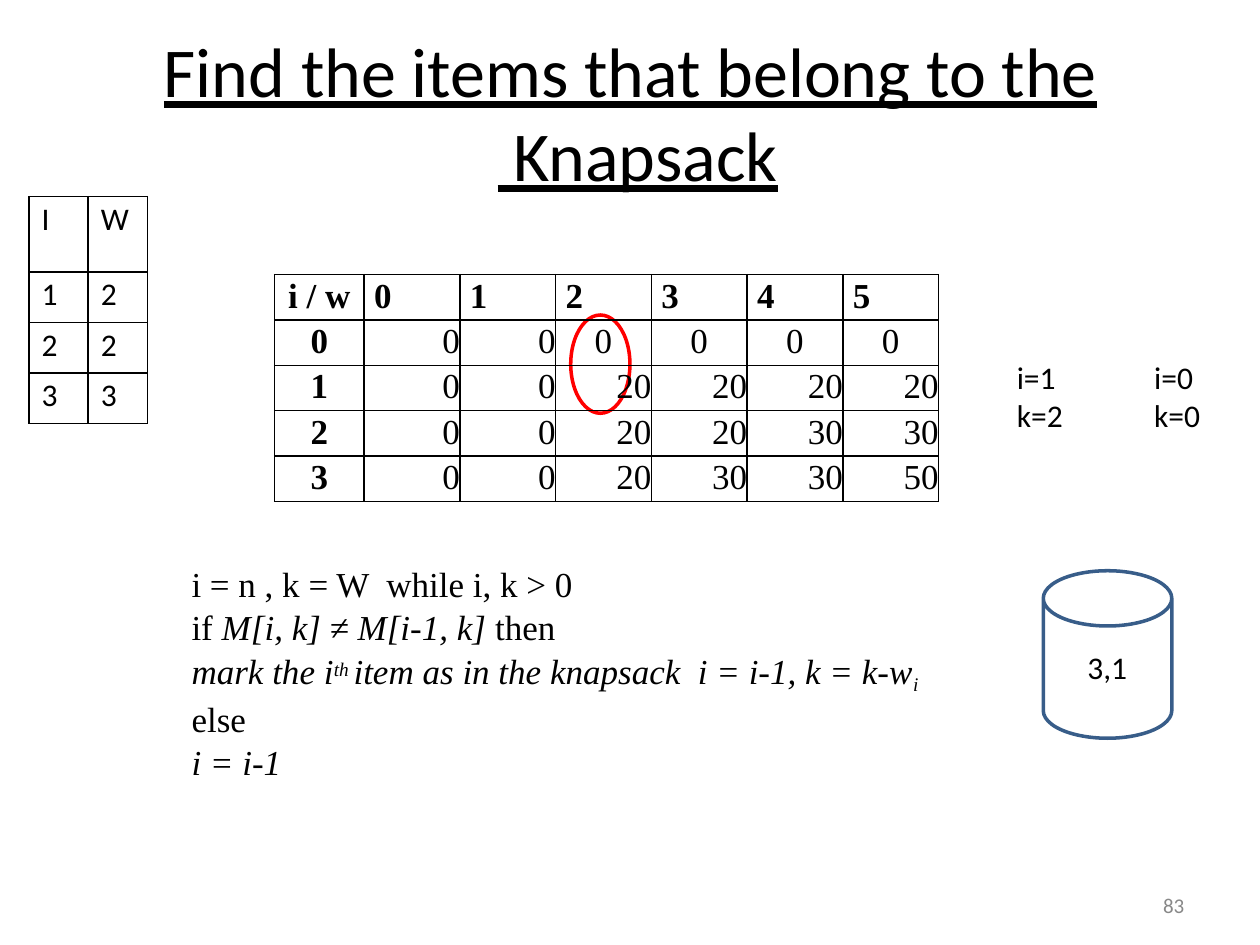
from dataclasses import dataclass
from lxml import etree
from pptx import Presentation
from pptx.dml.color import RGBColor
from pptx.enum.shapes import MSO_SHAPE
from pptx.enum.text import MSO_ANCHOR, MSO_AUTO_SIZE, PP_ALIGN
from pptx.oxml.ns import qn
from pptx.util import Inches, Pt

LEFT, MID, RIGHT = PP_ALIGN.LEFT, PP_ALIGN.CENTER, PP_ALIGN.RIGHT
TOP, FIXED = MSO_ANCHOR.TOP, MSO_AUTO_SIZE.NONE
OVAL, CAN = MSO_SHAPE.OVAL, MSO_SHAPE.CAN


@dataclass(frozen=True)
class Theme:
    ink: str = "000000"
    mark: str = "FF0000"
    sack: str = "385D89"
    mute: str = "888888"
    sans: str = "Calibri"
    serif: str = "Times New Roman"
    head: int = 40
    code: int = 20
    base: int = 19
    body: int = 18
    foot: int = 12


T = Theme()
WIDE, HIGH = 10, 7.5

TITLE = "Find the items that belong to the  Knapsack"
ITEMS = [["I", "W"], ["1", "2"], ["2", "2"], ["3", "3"]]
GRID = [
    ["i / w", "0", "1", "2", "3", "4", "5"],
    ["0", "0", "0", "0", "0", "0", "0"],
    ["1", "0", "0", "20", "20", "20", "20"],
    ["2", "0", "0", "20", "20", "30", "30"],
    ["3", "0", "0", "20", "30", "30", "50"],
]
CODE = [
    [("i = n , k = W  while i, k > 0", "")],
    [("if ", ""), ("M[i, k] ≠ M[i-1, k] ", "i"), ("then", "")],
    [("mark the i", "i"), ("th ", "sup"),
     ("item as in the knapsack  i = i-1, k = k-w", "i"), ("i", "sub")],
    [("else", "")],
    [("i = i-1", "i")],
]
SHIFT = {"sup": "26000", "sub": "-21000"}
NOTES = [
    ((8.06, 2.83, 0.39, 0.63), ["i=1", "k=2"]),
    ((9.15, 2.83, 0.39, 0.63), ["i=0", "k=0"]),
    ((8.62, 5.13, 0.34, 0.33), ["3,1"]),
]


def place(box):
    return [Inches(n) for n in box]


def style(par, face, size, tone=T.ink, bold=False, line=False):
    font = par.font
    font.name, font.size, font.bold = face, Pt(size), bold
    font.underline = line
    font.color.rgb = RGBColor.from_string(tone)


def indent(par, left, first=0):
    props = par._p.get_or_add_pPr()
    props.set("marL", str(Inches(left)))
    props.set("indent", str(Inches(first)))


def fit(frame, top=0.01, wrap=True):
    frame.margin_left = frame.margin_right = frame.margin_bottom = 0
    frame.margin_top = Inches(top)
    frame.vertical_anchor, frame.word_wrap = TOP, wrap
    frame.auto_size = FIXED


def add_text(slide, box, lines, face, size, tone=T.ink, left=0.01, wrap=False):
    frame = slide.shapes.add_textbox(*place(box)).text_frame
    fit(frame, wrap=wrap)
    for row, runs in enumerate(lines):
        par = frame.add_paragraph() if row else frame.paragraphs[0]
        indent(par, left)
        style(par, face, size, tone)
        for text, kind in runs:
            run = par.add_run()
            run.text = text
            if kind:
                run.font.italic = True
            if kind in SHIFT:
                run.font.size = Pt(T.base)
                run._r.get_or_add_rPr().set("baseline", SHIFT[kind])
    return frame


def border(cell):
    props = cell._tc.get_or_add_tcPr()
    for side in ("lnL", "lnR", "lnT", "lnB"):
        edge = etree.SubElement(props, qn("a:" + side), w=str(Pt(1)))
        fill = etree.SubElement(edge, qn("a:solidFill"))
        etree.SubElement(fill, qn("a:srgbClr"), val=T.ink)
    cell.fill.background()


def add_grid(slide, spot, data, cols, rows, top, look):
    box = (*spot, sum(cols), sum(rows))
    table = slide.shapes.add_table(len(rows), len(cols), *place(box)).table
    table.first_row = table.horz_banding = False
    for col, size in zip(table.columns, cols):
        col.width = Inches(size)
    for row, size in zip(table.rows, rows):
        row.height = Inches(size)
    for r, line in enumerate(data):
        for c, text in enumerate(line):
            cell = table.cell(r, c)
            cell.margin_left = cell.margin_right = cell.margin_bottom = 0
            cell.margin_top = Inches(top)
            cell.text = text
            border(cell)
            look(cell.text_frame.paragraphs[0], r, c)


def item_look(par, r, c):
    indent(par, 0.1)
    par.space_before = Pt(2.5)
    style(par, T.sans, T.body)


def grid_look(par, r, c):
    if c == 0 or (r == 1 and c > 2):
        par.alignment = MID
    elif r == 0:
        indent(par, 0.08)
    else:
        par.alignment = RIGHT
    par.line_spacing = Pt(23.4)
    style(par, T.serif, T.code, bold=r == 0 or c == 0)


def outline(slide, kind, box, tone):
    shape = slide.shapes.add_shape(kind, *place(box))
    shape.shadow.inherit = False
    shape.fill.background()
    shape.line.color.rgb = RGBColor.from_string(tone)
    shape.line.width = Pt(2)
    return shape


def main():
    deck = Presentation()
    deck.slide_width, deck.slide_height = Inches(WIDE), Inches(HIGH)
    slide = deck.slides.add_slide(deck.slide_layouts[5])

    title = slide.shapes.title
    title.left, title.top, title.width, title.height = place((1.28, 0.21, 7.43, 1.36))
    title.text = TITLE
    fit(title.text_frame)
    par = title.text_frame.paragraphs[0]
    par.alignment = LEFT
    indent(par, 2.67, -2.65)
    style(par, T.sans, T.head, line=True)

    outline(slide, OVAL, (4.53, 2.5, 0.47, 0.78), T.mark)
    can = outline(slide, CAN, (8.28, 4.53, 1.02, 1.33), T.sack)
    can.adjustments[0] = 0.43

    code = add_text(slide, (1.48, 4.44, 6.01, 2.36), CODE, T.serif, T.code,
                    left=0.04, wrap=True)
    for par in code.paragraphs:
        par.line_spacing = 1.04
    for box, lines in NOTES:
        add_text(slide, box, [[(text, "")] for text in lines], T.sans, T.body)
    add_text(slide, (9.19, 7.07, 0.25, 0.19), [[("83", "")]], T.sans, T.foot,
             T.mute, left=0.04)

    add_grid(slide, (0.23, 1.56), ITEMS, [0.47] * 2, [0.6] + [0.4] * 3,
             0.03, item_look)
    add_grid(slide, (2.18, 2.18), GRID, [0.71] + [0.76] * 6, [0.36] * 5,
             0, grid_look)
    deck.save("out.pptx")


if __name__ == "__main__":
    main()
